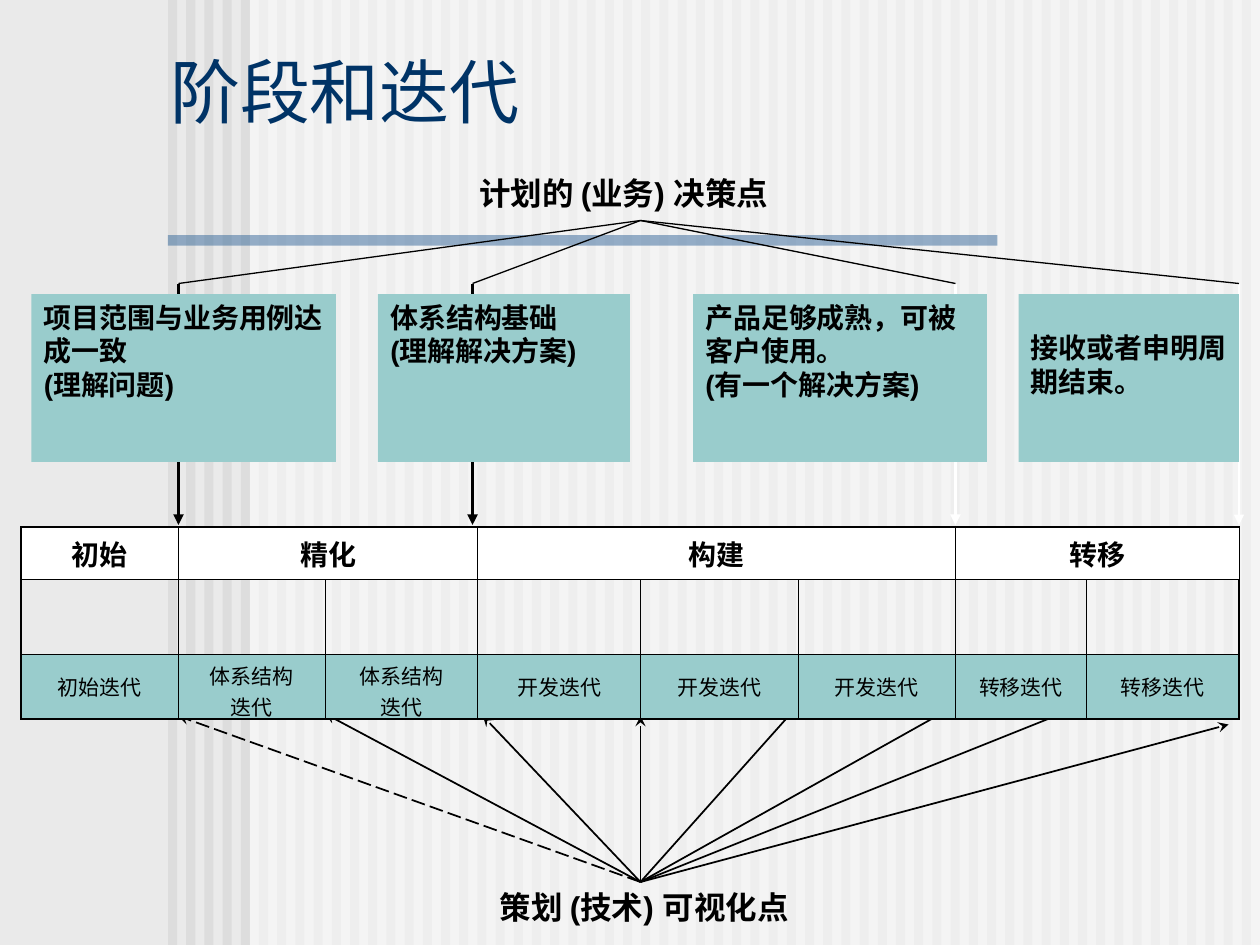
from dataclasses import dataclass
from itertools import accumulate

from lxml.etree import SubElement
from pptx import Presentation
from pptx.dml.color import RGBColor as RGB
from pptx.enum.dml import MSO_LINE as DASH
from pptx.enum.shapes import MSO_CONNECTOR as CONN, MSO_SHAPE as SHAPE
from pptx.enum.text import MSO_ANCHOR as ANCHOR, MSO_AUTO_SIZE as FIT, PP_ALIGN as ALIGN
from pptx.oxml.ns import qn
from pptx.util import Pt

PX = 7620


@dataclass(frozen=True)
class Theme:
    """Colours, font and type sizes of the slide."""
    font: str = "Arial"
    page: str = "EAEAEA"
    stripe: str = "DDDDDD"
    white: str = "FFFFFF"
    bar: str = "336699"
    title: str = "003366"
    ink: str = "000000"
    teal: str = "99CCCC"
    title_pt: int = 40
    label_pt: int = 18
    body_pt: int = 16
    small_pt: int = 12
    thin: float = 0.45
    frame: float = 1.08


T = Theme()

COLS = [150, 140, 145, 155, 150, 150, 125, 145]
ROWS = [50, 71, 62]
TABLE_LEFT, TABLE_TOP = 20, 502
EDGES = [TABLE_LEFT + x for x in accumulate(COLS, initial=0)]
PHASES = [("初始", 1), ("精化", 2), ("构建", 3), ("转移", 2)]
ITERATIONS = (["初始迭代"] + ["体系结构\n迭代"] * 2
              + ["开发迭代"] * 3 + ["转移迭代"] * 2)
HUB = 610
MILESTONES = [
    (EDGES[8], T.white, 1.5),
    (EDGES[6], T.white, 2),
    (450, T.ink, 2),
    (EDGES[1], T.ink, 2),
]
BOXES = [
    (970, 210, 35, "接收或者申明周期结束。"),
    (660, 280, 6, "产品足够成熟，可被客户使用。\v(有一个解决方案)"),
    (360, 240, 6, "体系结构基础\v(理解解决方案)"),
    (30, 290, 6, "项目范围与业务用例达成一致\v(理解问题)"),
]
VISIBLE_POINTS = [(170, 682), (310, 680), (460, 682), (HUB, 682),
                  (760, 672), (910, 672), (1030, 672), (1170, 690)]


def px(*values):
    """Turn px lengths into EMU."""
    return [round(v * PX) for v in values]


def style_text(tf, size, color=T.ink, bold=False, align=ALIGN.LEFT):
    """Format every paragraph of a text frame alike."""
    for p in tf.paragraphs:
        p.alignment = align
        p.font.name = T.font
        p.font.size = Pt(size)
        p.font.bold = bold
        p.font.color.rgb = RGB.from_string(color)


def add_rect(slide, x, y, w, h, color, alpha=None):
    """Add a borderless rectangle, see-through if alpha is given."""
    sp = slide.shapes.add_shape(SHAPE.RECTANGLE, *px(x, y, w, h))
    sp.shadow.inherit = False
    sp.line.fill.background()
    sp.fill.solid()
    sp.fill.fore_color.rgb = RGB.from_string(color)
    if alpha is not None:
        clr = sp.fill._xPr.find(qn("a:solidFill"))[0]
        SubElement(clr, qn("a:alpha"), val=str(alpha * 1000))
    return sp


def add_line(slide, start, end, color=T.ink, width=1, head=None, dash=None):
    """Add a straight line with an optional arrowhead at its end."""
    cx = slide.shapes.add_connector(CONN.STRAIGHT, *px(*start, *end))
    cx.line.color.rgb = RGB.from_string(color)
    cx.line.width = Pt(width)
    if dash:
        cx.line.dash_style = dash
    if head:
        SubElement(cx.line._get_or_add_ln(), qn("a:tailEnd"), type=head)
    SubElement(cx._element.spPr, qn("a:effectLst"))


def add_label(slide, x, y, w, h, text):
    """Add a bold centred caption."""
    tf = slide.shapes.add_textbox(*px(x, y, w, h)).text_frame
    tf.word_wrap = True
    tf.auto_size = FIT.SHAPE_TO_FIT_TEXT
    tf.text = text
    style_text(tf, T.label_pt, bold=True, align=ALIGN.CENTER)


def add_box(slide, x, w, top_inset, text):
    """Add a teal milestone box."""
    tf = add_rect(slide, x, 280, w, 160, T.teal).text_frame
    tf.word_wrap = True
    tf.vertical_anchor = ANCHOR.TOP
    tf.margin_top, = px(top_inset)
    tf.text = text
    style_text(tf, T.body_pt, bold=True)


def add_backdrop(slide):
    """Draw the striped background and the title bar."""
    slide.background.fill.solid()
    slide.background.fill.fore_color.rgb = RGB.from_string(T.page)
    for i in range(60):
        add_rect(slide, 160 + i * 52 / 3, 0, 26 / 3, 900, T.stripe)
    add_rect(slide, 238, 0, 962, 900, T.white, 50)
    add_rect(slide, 160, 224, 790, 10, T.bar, 50)


def place_title(slide, text):
    """Fill the title and bring it in front of the backdrop."""
    sp = slide.shapes.title
    sp.left, sp.top, sp.width, sp.height = px(150, 49, 880, 83)
    tf = sp.text_frame
    tf.text = text
    tf.auto_size = FIT.NONE
    tf.vertical_anchor = ANCHOR.BOTTOM
    style_text(tf, T.title_pt, T.title)
    slide.shapes._spTree.append(sp._element)


def format_cell(cell, row, col, fill):
    """Set the borders, margins and fill of one table cell."""
    outer = {"L": col == 0, "R": col == len(COLS) - 1,
             "T": row == 0, "B": row == len(ROWS) - 1}
    tcPr = cell._tc.get_or_add_tcPr()
    for side, is_outer in outer.items():
        width = Pt(T.frame if is_outer else T.thin)
        ln = SubElement(tcPr, qn(f"a:ln{side}"), w=str(width))
        SubElement(SubElement(ln, qn("a:solidFill")), qn("a:srgbClr"), val=T.ink)
    cell.margin_left, cell.margin_right, cell.margin_top, cell.margin_bottom = px(14, 14, 6, 6)
    cell.vertical_anchor = ANCHOR.MIDDLE
    if fill:
        cell.fill.solid()
        cell.fill.fore_color.rgb = RGB.from_string(fill)
    else:
        cell.fill.background()


def add_phase_table(slide):
    """Add the table of phases and their iterations."""
    size = px(TABLE_LEFT, TABLE_TOP, sum(COLS), sum(ROWS))
    table = slide.shapes.add_table(len(ROWS), len(COLS), *size).table
    table.first_row = table.horz_banding = False
    for column, w in zip(table.columns, COLS):
        column.width, = px(w)
    for r, (row, h, fill) in enumerate(zip(table.rows, ROWS, (T.white, None, T.teal))):
        row.height, = px(h)
        for c, cell in enumerate(row.cells):
            format_cell(cell, r, c, fill)
    col = 0
    for name, span in PHASES:
        cell = table.cell(0, col)
        if span > 1:
            cell.merge(table.cell(0, col + span - 1))
        cell.text = name
        style_text(cell.text_frame, T.body_pt, bold=True, align=ALIGN.CENTER)
        col += span
    for c, name in enumerate(ITERATIONS):
        cell = table.cell(2, c)
        cell.text = name
        style_text(cell.text_frame, T.small_pt, align=ALIGN.CENTER)


def main():
    """Build the slide and save it."""
    prs = Presentation()
    prs.slide_width, prs.slide_height = px(1200, 900)
    slide = prs.slides.add_slide(prs.slide_layouts[5])
    add_backdrop(slide)
    place_title(slide, "阶段和迭代")
    add_label(slide, 320, 840, 587, 48, "策划 (技术) 可视化点")
    for i, point in enumerate(VISIBLE_POINTS):
        add_line(slide, (HUB, 840), point, head="stealth",
                 dash=DASH.LONG_DASH if i == 0 else None)
    add_phase_table(slide)
    for x, color, width in MILESTONES:
        add_line(slide, (x, 270), (x, 500), color, width, "triangle")
    for box in BOXES:
        add_box(slide, *box)
    for x, *_ in MILESTONES:
        add_line(slide, (HUB, 210), (x, 270), width=0.75)
    add_label(slide, 310, 160, 568, 48, "计划的 (业务) 决策点")
    prs.save("out.pptx")


if __name__ == "__main__":
    main()
